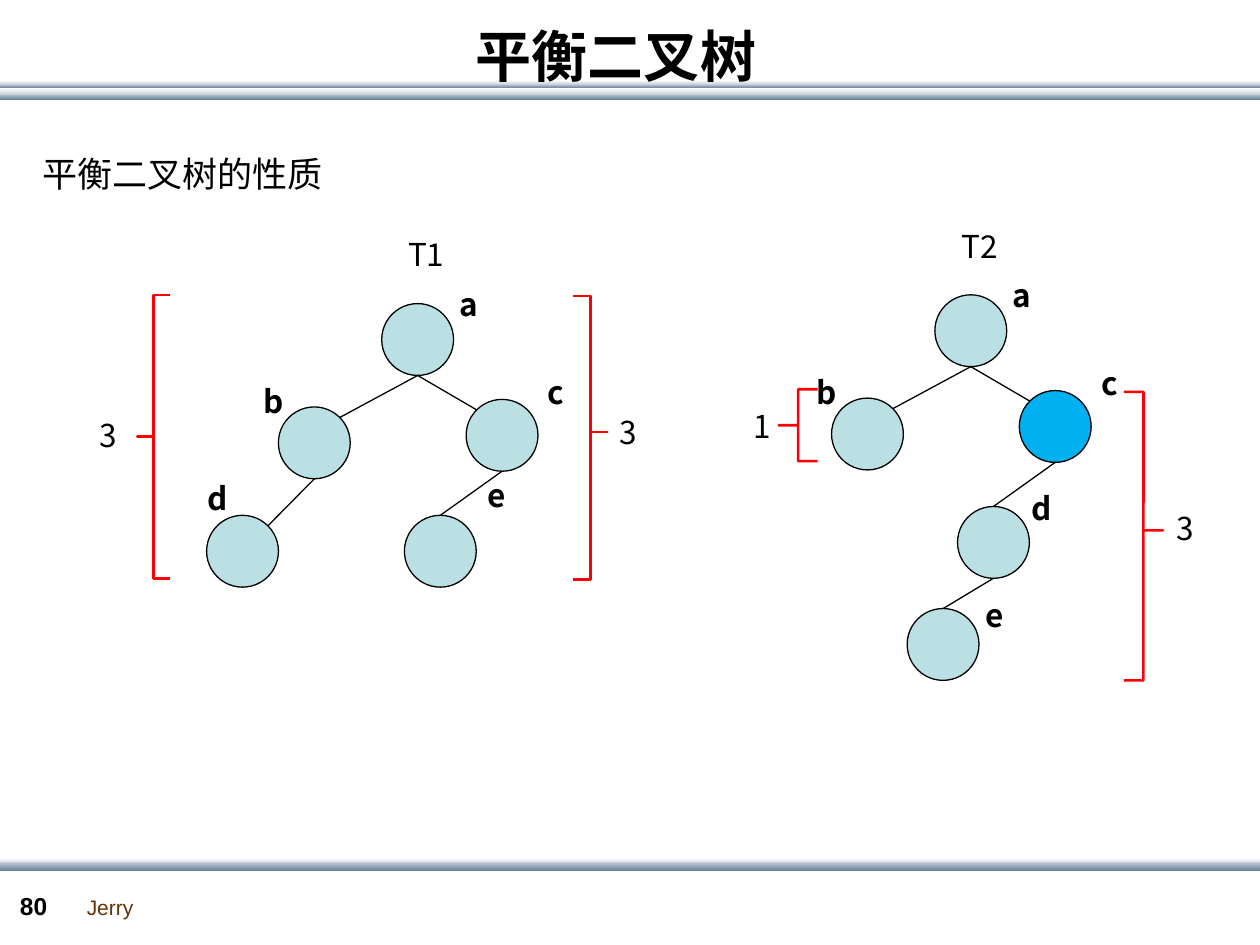
from lxml import etree
from pptx import Presentation
from pptx.dml.color import RGBColor
from pptx.enum.shapes import MSO_CONNECTOR, MSO_SHAPE
from pptx.enum.text import MSO_ANCHOR, PP_ALIGN
from pptx.oxml.ns import qn
from pptx.util import Inches, Pt

STRAIGHT = MSO_CONNECTOR.STRAIGHT
RECTANGLE, OVAL, BRACE = MSO_SHAPE.RECTANGLE, MSO_SHAPE.OVAL, MSO_SHAPE.RIGHT_BRACE
MIDDLE, CENTER = MSO_ANCHOR.MIDDLE, PP_ALIGN.CENTER

CJK_FONT, LATIN_FONT = "Noto Sans CJK SC", "Arial"
BLACK, RED, PALE, BLUE = "000000", "FF0000", "BBE0E3", "00B0F0"
NODE_SIZE = 0.57
DIAGONAL = NODE_SIZE / 2 * 0.5 ** 0.5

DARK_BAND, LIGHT_BAND = ("C8D1DA", "6A839C"), ("FFFFFF", "C8D1DA")
BANDS = [
    (0.74, 0.05, DARK_BAND),
    (0.67, 0.03, DARK_BAND),
    (0.70, 0.05, LIGHT_BAND),
    (0.64, 0.03, LIGHT_BAND),
    (6.81, 0.05, LIGHT_BAND),
    (6.84, 0.07, DARK_BAND),
]

TREES = [
    {
        "name": ("T1", 3.14, 1.82),
        "nodes": {
            "a": (3.03, 2.41, PALE, 3.55, 2.21),
            "b": (2.21, 3.23, PALE, 1.99, 2.98),
            "c": (3.70, 3.17, PALE, 4.25, 2.91),
            "d": (1.64, 4.09, PALE, 1.55, 3.75),
            "e": (3.21, 4.09, PALE, 3.77, 3.73),
        },
        "edges": [("a", "b", 1), ("a", "c", -1), ("b", "d", 1), ("c", "e", 0)],
    },
    {
        "name": ("T2", 7.53, 1.75),
        "nodes": {
            "a": (7.42, 2.34, PALE, 7.94, 2.14),
            "b": (6.60, 3.16, PALE, 6.38, 2.91),
            "c": (8.09, 3.10, BLUE, 8.64, 2.84),
            "d": (7.60, 4.02, PALE, 8.09, 3.83),
            "e": (7.20, 4.83, PALE, 7.72, 4.68),
        },
        "edges": [("a", "b", 1), ("a", "c", -1), ("c", "d", 0), ("d", "e", 0)],
    },
]

HEIGHTS = [
    ("3", 0.69, 3.25, (1.09, 2.34, 0.26, 2.25), 0.5, True),
    ("3", 4.82, 3.23, (4.55, 2.35, 0.27, 2.25), 0.48, False),
    ("1", 5.88, 3.18, (6.18, 3.09, 0.31, 0.57), 0.5, True),
    ("3", 9.24, 3.99, (8.92, 3.11, 0.31, 2.29), 0.48, False),
]


def rgb(color):
    return RGBColor.from_string(color)


def write(shape, text, size, font_name=CJK_FONT, color=BLACK, bold=False):
    shape.text_frame.text = text
    run = shape.text_frame.paragraphs[0].runs[0]
    run.font.name = font_name
    run.font.size = Pt(size)
    run.font.bold = bold
    run.font.color.rgb = rgb(color)
    east_asian = etree.SubElement(run.font._element, qn("a:ea"))
    east_asian.set("typeface", font_name)


def add_text(slide, text, left, top, width, height=0.4, size=18, wrap=True, **style):
    box = slide.shapes.add_textbox(*map(Inches, (left, top, width, height)))
    box.text_frame.word_wrap = wrap
    write(box, text, size, **style)


def add_shape(slide, kind, left, top, width, height):
    shape = slide.shapes.add_shape(kind, *map(Inches, (left, top, width, height)))
    shape.shadow.inherit = False
    return shape


def add_band(slide, top, height, colors):
    band = add_shape(slide, RECTANGLE, 0, top, 10, height)
    band.line.fill.background()
    band.fill.gradient()
    band.fill.gradient_angle = 270
    for position, (stop, color) in enumerate(zip(band.fill.gradient_stops, colors)):
        stop.position = position
        stop.color.rgb = rgb(color)


def add_edge(slide, parent, child, side):
    start = (parent[0] + NODE_SIZE / 2, parent[1] + NODE_SIZE)
    end_top = child[1] + (NODE_SIZE / 2 - DIAGONAL if side else 0)
    end = (child[0] + NODE_SIZE / 2 + side * DIAGONAL, end_top)
    edge = slide.shapes.add_connector(STRAIGHT, *map(Inches, start + end))
    edge.line.color.rgb = rgb(BLACK)
    edge.line.width = Pt(0.75)
    etree.SubElement(edge._element.spPr, qn("a:effectLst"))


def add_tree(slide, tree):
    name, name_left, name_top = tree["name"]
    add_text(slide, name, name_left, name_top, 0.49)
    nodes = tree["nodes"]
    for left, top, color, *_ in nodes.values():
        node = add_shape(slide, OVAL, left, top, NODE_SIZE, NODE_SIZE)
        node.fill.solid()
        node.fill.fore_color.rgb = rgb(color)
        node.line.color.rgb = rgb(BLACK)
        node.line.width = Pt(0.75)
    for parent, child, side in tree["edges"]:
        add_edge(slide, nodes[parent], nodes[child], side)
    for label, (*_, label_left, label_top) in nodes.items():
        add_text(slide, label, label_left, label_top, 0.31, bold=True)


def add_height(slide, value, left, top, bounds, middle, flipped):
    brace = add_shape(slide, BRACE, *bounds)
    brace.adjustments[0] = 0
    brace.adjustments[1] = middle
    brace.fill.background()
    brace.line.color.rgb = rgb(RED)
    brace.line.width = Pt(1.5)
    if flipped:
        brace._element.spPr.xfrm.set("flipH", "1")
    add_text(slide, value, left, top, 0.37)


def main():
    presentation = Presentation()
    presentation.slide_width = Inches(10)
    presentation.slide_height = Inches(7.5)
    slide = presentation.slides.add_slide(presentation.slide_layouts[5])

    for band in BANDS:
        add_band(slide, *band)
    add_text(slide, "Jerry", 0.59, 7.05, 0.58, 0.3, 12, wrap=False,
             font_name=LATIN_FONT, color="663300")
    add_text(slide, "80", 0.06, 7.02, 0.55, 0.33, 14, font_name=LATIN_FONT, bold=True)

    title = slide.shapes.title
    title.left, title.top, title.width, title.height = map(Inches, (0.39, -0.19, 9, 1.25))
    write(title, "平衡二叉树", 32, bold=True)
    title.text_frame.vertical_anchor = MIDDLE
    title.text_frame.paragraphs[0].alignment = CENTER
    slide.shapes._spTree.append(title._element)

    add_text(slide, "平衡二叉树的性质", 0.24, 1.16, 2.9, 0.44, 20)
    for tree in TREES:
        add_tree(slide, tree)
    for height in HEIGHTS:
        add_height(slide, *height)

    presentation.save("out.pptx")


if __name__ == "__main__":
    main()
